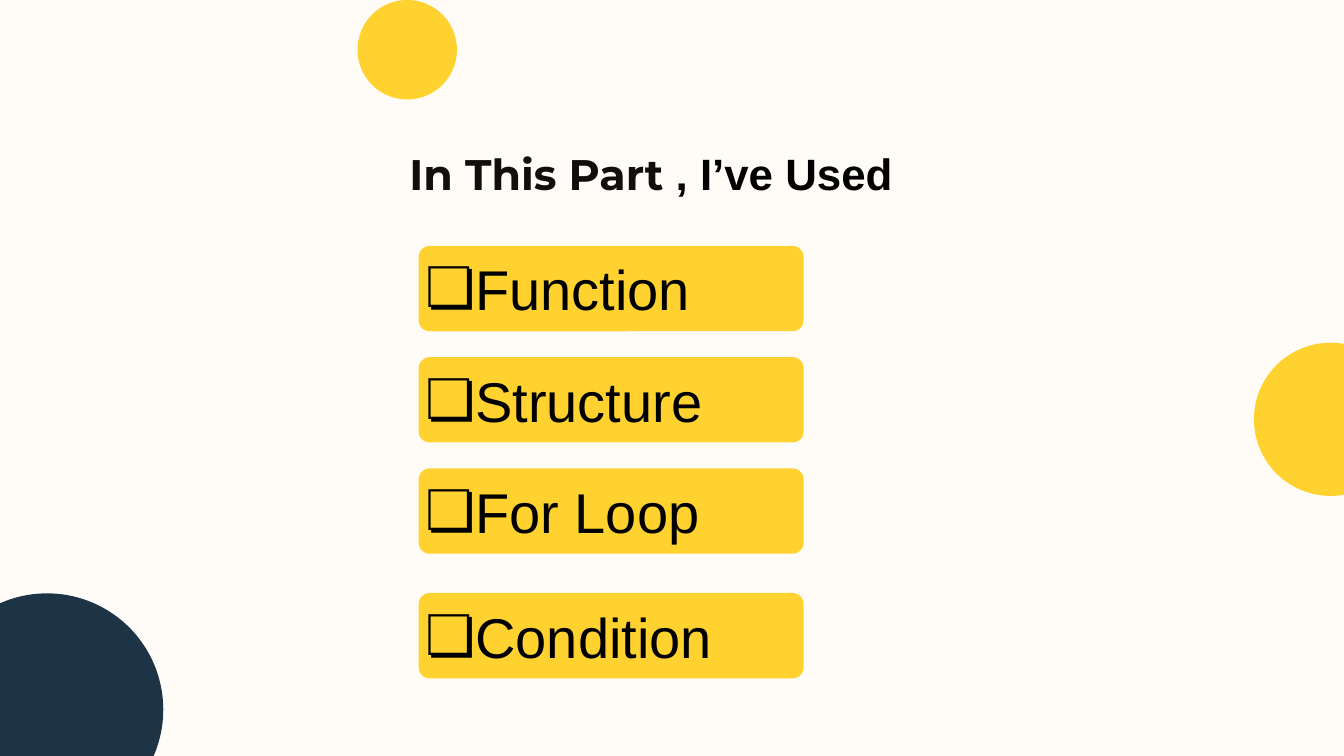
from lxml import etree
from pptx import Presentation, util as u
from pptx.dml.color import RGBColor
from pptx.enum import shapes, text
from pptx.oxml.ns import qn

WIDE, HIGH = 20, 11.25
HUES = {"cream": "FFFCF7", "navy": "1D3447", "gold": "FFD230",
        "ink": "100F0D", "black": "000000"}

TITLE = [("In This Part ", dict(font="Montserrat", size=45.8, hue="ink", bold=True)),
         (", I’ve Used", dict(font="Arial", size=47, hue="black", bold=True))]
TOPICS = ["Function", "Structure", "For Loop", "Condition"]
DOTS = [(0.7, 10.56, 3.46, "navy"), (6.06, 0.74, 1.48, "gold"),
        (19.8, 6.24, 2.28, "gold")]

LEFT, TOP, STEP = 6.23, 3.66, 1.655
BAR_W, BAR_H, CORNER = 5.73, 1.27, 0.13
LAST_GAP = 0.2


def color(name):
    return RGBColor.from_string(HUES[name])


def write(para, words, font="Arial", size=60, hue="black", bold=False):
    run = para.add_run()
    run.text = words
    run.font.name = font
    run.font.size = u.Pt(size)
    run.font.bold = bold
    run.font.color.rgb = color(hue)


def place(shape, x, y, w, h):
    shape.left, shape.top, shape.width, shape.height = map(u.Inches, (x, y, w, h))


def inset(frame, side, edge):
    frame.margin_left = frame.margin_right = u.Inches(side)
    frame.margin_top = frame.margin_bottom = u.Inches(edge)
    frame.word_wrap = True


def draw(slide, kind, x, y, w, h, hue):
    shape = slide.shapes.add_shape(kind, *map(u.Inches, (x, y, w, h)))
    shape.shadow.inherit = False
    shape.fill.solid()
    shape.fill.fore_color.rgb = color(hue)
    shape.line.fill.background()
    return shape


def bullet(para, mark):
    props = para._p.get_or_add_pPr()
    props.set("marL", str(u.Inches(0.5)))
    props.set("indent", str(u.Inches(-0.67)))
    tint = etree.SubElement(props, qn("a:buClr"))
    etree.SubElement(tint, qn("a:srgbClr"), val=HUES["black"])
    etree.SubElement(props, qn("a:buFont"), typeface="Arial")
    etree.SubElement(props, qn("a:buChar"), char=mark)


def add_title(slide):
    title = slide.shapes.title
    place(title, 4.79, 2.14, 9.8, 1.6)
    frame = title.text_frame
    inset(frame, 0, 0)
    frame.vertical_anchor = text.MSO_ANCHOR.TOP
    frame.auto_size = text.MSO_AUTO_SIZE.SHAPE_TO_FIT_TEXT
    para = frame.paragraphs[0]
    para.alignment = text.PP_ALIGN.CENTER
    para.line_spacing = 1.05
    for words, style in TITLE:
        write(para, words, **style)


def add_topic(slide, row, words):
    y = TOP + row * STEP + (LAST_GAP if row == len(TOPICS) - 1 else 0)
    bar = draw(slide, shapes.MSO_SHAPE.ROUNDED_RECTANGLE, LEFT, y, BAR_W, BAR_H, "gold")
    bar.adjustments[0] = CORNER
    frame = bar.text_frame
    inset(frame, 0.05, 0.05)
    frame.vertical_anchor = text.MSO_ANCHOR.MIDDLE
    para = frame.paragraphs[0]
    para.alignment = text.PP_ALIGN.LEFT
    bullet(para, "❏")
    write(para, words)


def main():
    deck = Presentation()
    deck.slide_width, deck.slide_height = u.Inches(WIDE), u.Inches(HIGH)
    slide = deck.slides.add_slide(deck.slide_layouts[5])
    slide.background.fill.solid()
    slide.background.fill.fore_color.rgb = color("cream")
    for x, y, size, hue in DOTS:
        draw(slide, shapes.MSO_SHAPE.OVAL, x - size / 2, y - size / 2, size, size, hue)
    add_title(slide)
    for row, words in enumerate(TOPICS):
        add_topic(slide, row, words)
    deck.save("out.pptx")


if __name__ == "__main__":
    main()
